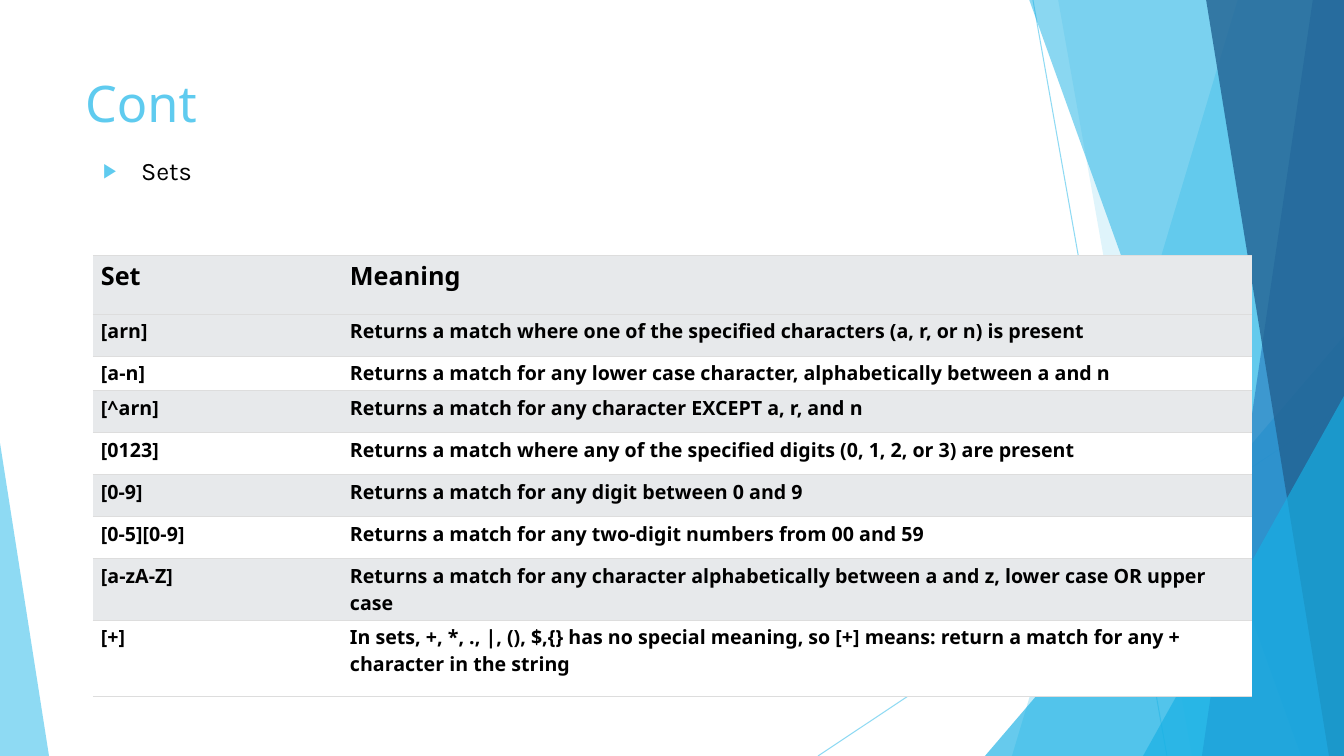
from lxml.etree import SubElement
from pptx import Presentation
from pptx.dml.color import RGBColor
from pptx.enum.shapes import MSO_CONNECTOR, MSO_SHAPE
from pptx.enum.text import MSO_ANCHOR, MSO_AUTO_SIZE, PP_ALIGN
from pptx.oxml.ns import qn
from pptx.util import Pt

SCALE = 12192000 / 1344
WIDTH, HEIGHT = 1344, 756
SKY = RGBColor(0x5F, 0xCB, 0xEF)
CYAN = RGBColor(0x17, 0xB0, 0xE4)
BLUE = RGBColor(0x2E, 0x83, 0xC3)
NAVY = RGBColor(0x22, 0x62, 0x92)
BLACK = RGBColor(0x00, 0x00, 0x00)
WHITE = RGBColor(0xFF, 0xFF, 0xFF)
GREY = RGBColor(0xE7, 0xE9, 0xEB)
RULE = RGBColor(0xDD, 0xDD, 0xDD)

TITLE = "Cont"
BULLET = "Sets"
ROWS = [
    ("Set", "Meaning"),
    ("[arn]", "Returns a match where one of the specified characters (a, r, or n) is present"),
    ("[a-n]", "Returns a match for any lower case character, alphabetically between a and n"),
    ("[^arn]", "Returns a match for any character EXCEPT a, r, and n"),
    ("[0123]", "Returns a match where any of the specified digits (0, 1, 2, or 3) are present"),
    ("[0-9]", "Returns a match for any digit between 0 and 9"),
    ("[0-5][0-9]", "Returns a match for any two-digit numbers from 00 and 59"),
    ("[a-zA-Z]", "Returns a match for any character alphabetically between a and z, "
                 "lower case OR upper case"),
    ("[+]", "In sets, +, *, ., |, (), $,{} has no special meaning, so [+] means: "
            "return a match for any + character in the string"),
]
ROW_HEIGHTS = [59, 42, 29, 42, 42, 42, 42, 44, 76]
COLUMN_WIDTHS = [253, 906]
TABLE_LEFT, TABLE_TOP = 93, 255
LINES = [(1033, 0, 1167, HEIGHT), (WIDTH, 406, 818, HEIGHT)]


def px(length):
    """Turn pixels into EMU."""
    return round(length * SCALE)


def fade(shape, percent):
    """Make the colours of a shape partly transparent."""
    for colour in list(shape.element.spPr.iter(qn("a:srgbClr"))):
        SubElement(colour, qn("a:alpha"), val=str(percent * 1000))


def paint(shape, colour, percent):
    """Give a shape a transparent fill without outline or shadow."""
    shape.shadow.inherit = False
    shape.fill.solid()
    shape.fill.fore_color.rgb = colour
    shape.line.fill.background()
    fade(shape, percent)


def add_line(page, ends):
    """Draw a thin decorative line."""
    line = page.shapes.add_connector(MSO_CONNECTOR.STRAIGHT, *map(px, ends))
    line.line.color.rgb = SKY
    line.line.width = Pt(0.75)
    fade(line, 70)
    SubElement(line.element.spPr, qn("a:effectLst"))


def add_panel(page, top_x, bottom_x, colour, percent):
    """Draw a slanted panel that reaches the right edge."""
    outline = page.shapes.build_freeform(top_x, -1, scale=SCALE)
    outline.add_line_segments([(WIDTH, -1), (WIDTH, HEIGHT), (bottom_x, HEIGHT)])
    paint(outline.convert_to_shape(), colour, percent)


def add_triangle(page, left, top, width, apex, colour, percent):
    """Draw a triangle that stands on the bottom edge."""
    box = map(px, (left, top, width, HEIGHT - top))
    triangle = page.shapes.add_shape(MSO_SHAPE.ISOSCELES_TRIANGLE, *box)
    triangle.adjustments[0] = apex
    paint(triangle, colour, percent)


def format_runs(para, font, size, colour, bold=False):
    """Set the font of every run in a paragraph."""
    for span in para.runs:
        span.font.name = font
        span.font.size = Pt(size)
        span.font.color.rgb = colour
        span.font.bold = bold


def fill_placeholder(box, text, frame, font, size, colour):
    """Place a placeholder in front and format its text."""
    box.element.getparent().append(box.element)
    box.left, box.top, box.width, box.height = map(px, frame)
    box.text_frame.text = text
    box.text_frame.vertical_anchor = MSO_ANCHOR.TOP
    box.text_frame.auto_size = MSO_AUTO_SIZE.NONE
    para = box.text_frame.paragraphs[0]
    para.alignment = PP_ALIGN.LEFT
    format_runs(para, font, size, colour)
    return para


def add_bullet(para):
    """Give a paragraph a hanging arrow bullet."""
    para.space_before = Pt(10)
    props = para._p.get_or_add_pPr()
    props.set("marL", str(px(38)))
    props.set("indent", str(px(-38)))
    SubElement(SubElement(props, qn("a:buClr")), qn("a:srgbClr"), val=str(SKY))
    SubElement(props, qn("a:buSzPct"), val="80000")
    SubElement(props, qn("a:buFont"), typeface="Noto Sans")
    SubElement(props, qn("a:buChar"), char="▶")


def add_borders(cell):
    """Rule a cell above and below only."""
    props = cell._tc.get_or_add_tcPr()
    for side in ("L", "R"):
        SubElement(SubElement(props, qn(f"a:ln{side}")), qn("a:noFill"))
    for side in ("T", "B"):
        line = SubElement(props, qn(f"a:ln{side}"), w=str(Pt(0.6)))
        SubElement(SubElement(line, qn("a:solidFill")), qn("a:srgbClr"), val=str(RULE))


def add_sets_table(page):
    """Add the table of regular expression sets."""
    frame = map(px, (TABLE_LEFT, TABLE_TOP, sum(COLUMN_WIDTHS), sum(ROW_HEIGHTS)))
    table = page.shapes.add_table(len(ROWS), len(COLUMN_WIDTHS), *frame).table
    table.first_row = table.horz_banding = False
    for column, width in zip(table.columns, COLUMN_WIDTHS):
        column.width = px(width)
    for row_index, texts in enumerate(ROWS):
        table.rows[row_index].height = px(ROW_HEIGHTS[row_index])
        for column_index, text in enumerate(texts):
            cell = table.cell(row_index, column_index)
            cell.text_frame.text = text
            cell.margin_left = px(4 if column_index else 8)
            cell.margin_right = cell.margin_top = cell.margin_bottom = px(4)
            add_borders(cell)
            cell.fill.solid()
            cell.fill.fore_color.rgb = GREY if row_index == 0 or row_index % 2 else WHITE
            size = 14 if row_index else 18
            format_runs(cell.text_frame.paragraphs[0], "Noto Sans", size, BLACK, True)


def main():
    """Build the slide and save it."""
    deck = Presentation()
    deck.slide_width, deck.slide_height = px(WIDTH), px(HEIGHT)
    page = deck.slides.add_slide(deck.slide_layouts[1])
    title, body = page.placeholders
    for ends in LINES:
        add_line(page, ends)
    add_panel(page, 1238, 1012, SKY, 36)
    add_panel(page, 1058, 1192, SKY, 20)
    add_triangle(page, 985, 336, 359, 1, CYAN, 66)
    add_panel(page, 1029, 1301, CYAN, 50)
    add_panel(page, 1313, 1202, BLUE, 70)
    add_panel(page, 1206, 1329, NAVY, 80)
    add_triangle(page, 1143, 396, 201, 1, CYAN, 66)
    add_triangle(page, 0, 443, 49, 0, SKY, 70)
    fill_placeholder(title, TITLE, (75, 67, 947, 145), "Noto Sans", 36, SKY)
    body_frame = (TABLE_LEFT, 150, sum(COLUMN_WIDTHS), 480)
    add_bullet(fill_placeholder(body, BULLET, body_frame, "Karla", 18, BLACK))
    add_sets_table(page)
    deck.save("out.pptx")


if __name__ == "__main__":
    main()
